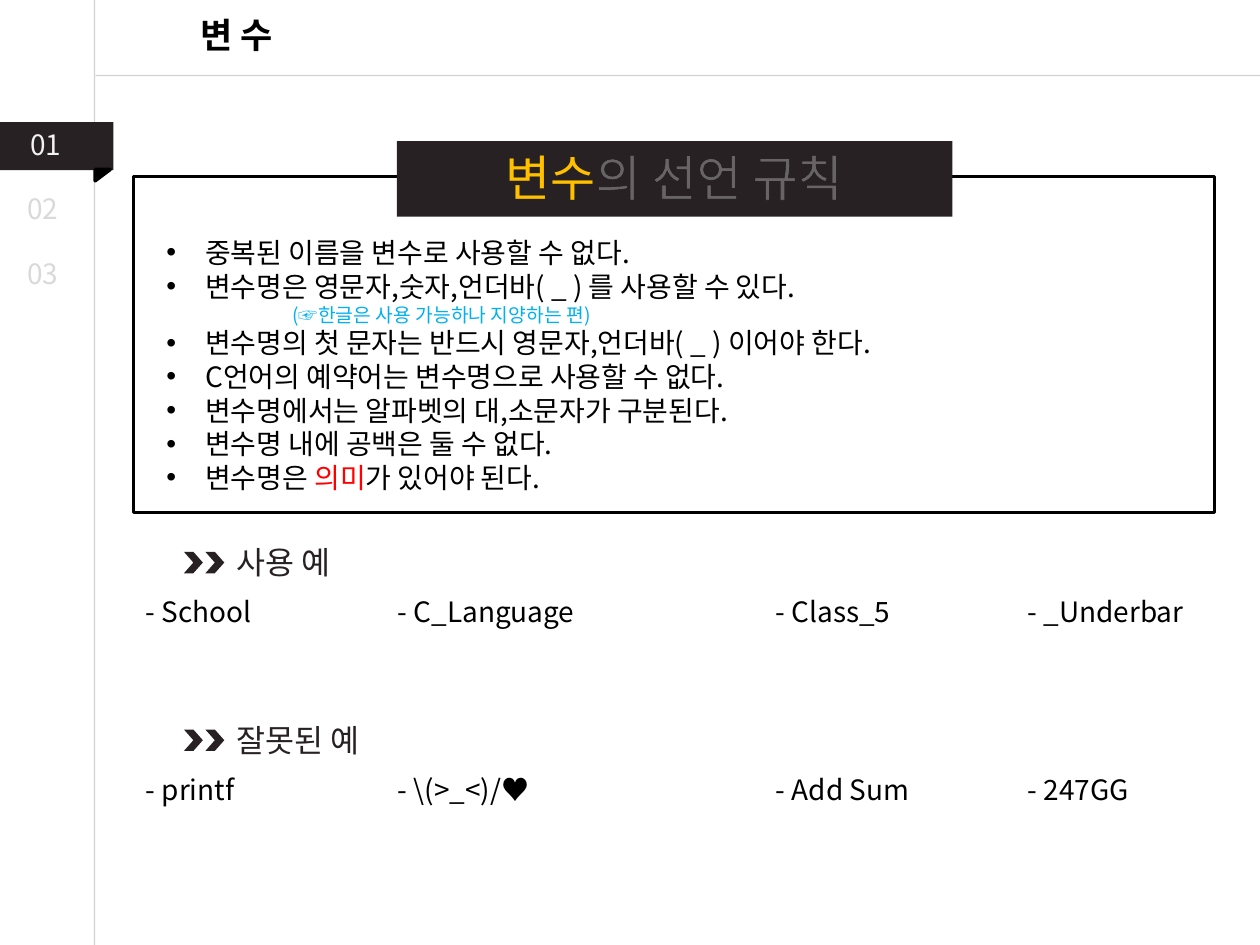
"""Build the slide on the rules for declaring variables."""
from dataclasses import dataclass
from lxml import etree
from pptx import Presentation, util as u
from pptx.dml.color import RGBColor
from pptx.enum import shapes, text
from pptx.oxml.ns import qn

FONT = "Noto Sans CJK KR"
DARK, BLACK, PALE = "272123", "000000", "D9D9D9"
MID, LEFT = text.PP_ALIGN.CENTER, text.PP_ALIGN.LEFT
KIND = shapes.MSO_SHAPE
WIDE, HIGH = 10, 7.5
COLS = (0, 2, 5, 7)


@dataclass
class Run:
    words: str
    color: str = BLACK


@dataclass
class Line:
    runs: list
    size: float = 16
    dot: bool = False
    left: float = 0


@dataclass
class Case:
    top: float
    head: str
    names: list


def paint(fill, color: str) -> None:
    fill.solid()
    fill.fore_color.rgb = RGBColor.from_string(color)


def node(root, tag: str, **vals):
    return etree.SubElement(root, qn(tag), **vals)


def fade(fill, alpha: int) -> None:
    node(fill.find(".//" + qn("a:srgbClr")), "a:alpha", val=str(alpha * 1000))


def place(item, box: tuple) -> None:
    for key, val in zip(("left", "top", "width", "height"), box):
        setattr(item, key, u.Inches(val))


def style(run, size: float, color: str, bold: bool) -> None:
    for key, val in {"name": FONT, "size": u.Pt(size), "bold": bold}.items():
        setattr(run.font, key, val)
    paint(run.font.fill, color)
    props = run.font._element
    node(props, "a:ea", typeface=FONT)
    edge = node(props, "a:ln", w="9525")
    tone = node(node(edge, "a:solidFill"), "a:srgbClr", val=BLACK)
    node(tone, "a:alpha", val="30000")
    props.insert(0, edge)


def write(item, lines: list, align=LEFT, bold=False) -> None:
    frame = item.text_frame
    form = {"word_wrap": True, "auto_size": text.MSO_AUTO_SIZE.NONE,
            "vertical_anchor": text.MSO_ANCHOR.TOP}
    for key, val in form.items():
        setattr(frame, key, val)
    for num, line in enumerate(lines):
        para = frame.add_paragraph() if num else frame.paragraphs[0]
        form = {"alignment": align, "space_before": u.Pt(0),
                "line_spacing": u.Pt(line.size * 1.2)}
        for key, val in form.items():
            setattr(para, key, val)
        props = para._p.get_or_add_pPr()
        hang = 0.31 if line.dot else 0
        props.set("marL", str(u.Inches(line.left + hang)))
        props.set("indent", str(u.Inches(-hang)))
        if line.dot:
            node(props, "a:buFont", typeface="Arial")
            node(props, "a:buChar", char="•")
        else:
            node(props, "a:buNone")
        for part in line.runs:
            run = para.add_run()
            run.text = part.words
            style(run, line.size, part.color, bold)


def label(page, box: tuple, line: Line, align=LEFT) -> None:
    item = page.shapes.add_textbox(0, 0, 0, 0)
    place(item, box)
    write(item, [line], align)


def block(page, kind, box: tuple, fill="", edge=""):
    item = page.shapes.add_shape(kind, 0, 0, 0, 0)
    place(item, box)
    item.shadow.inherit = False
    for part, color in ((item.fill, fill), (item.line.fill, edge)):
        if color:
            paint(part, color)
        else:
            part.background()
    if edge:
        item.line.width = u.Pt(2)
    return item


def rule(page, ends: tuple) -> None:
    item = page.shapes.add_connector(shapes.MSO_CONNECTOR.STRAIGHT,
                                     *map(u.Inches, ends))
    item.line.width = u.Pt(0.75)
    paint(item.line.fill, "A6A6A6")
    props = item._element.spPr
    fade(props, 50)
    node(props, "a:effectLst")


def show(page, case: Case) -> None:
    for col in range(2):
        box = (1.46 + 0.17 * col, case.top + 0.12, 0.15, 0.17)
        block(page, KIND.CHEVRON, box, DARK)
    label(page, (1.78, case.top, 1.5, 0.4), Line([Run(case.head, DARK)], 18))
    for col, name in zip(COLS, case.names):
        box = (1.06 + col, case.top + 0.41, 1.8, 0.37)
        label(page, box, Line([Run("- " + name)]))


RULES = [
    Line([Run("중복된 이름을 변수로 사용할 수 없다.")], dot=True),
    Line([Run("변수명은 영문자,숫자,언더바( _ ) 를 사용할 수 있다.")], dot=True),
    Line([Run("(☞한글은 사용 가능하나 지양하는 편)", "00B0F0")], 11, left=1),
    Line([Run("변수명의 첫 문자는 반드시 영문자,언더바( _ ) 이어야 한다.")], dot=True),
    Line([Run("C언어의 예약어는 변수명으로 사용할 수 없다.")], dot=True),
    Line([Run("변수명에서는 알파벳의 대,소문자가 구분된다.")], dot=True),
    Line([Run("변수명 내에 공백은 둘 수 없다.")], dot=True),
    Line([Run("변수명은 "), Run("의미", "FF0000"), Run("가 있어야 된다.")], dot=True),
]
CASES = [
    Case(4.26, "사용 예", ["School", "C_Language", "Class_5", "_Underbar"]),
    Case(5.67, "잘못된 예", ["printf", "\\(>_<)/♥", "Add Sum", "247GG"]),
]
STEPS = [(0.14, 0.96, "F2F2F2"), (0.12, 1.47, PALE), (0.12, 1.99, PALE)]

deck = Presentation()
deck.slide_width, deck.slide_height = u.Inches(WIDE), u.Inches(HIGH)
page = deck.slides.add_slide(deck.slide_layouts[1])
title, body = page.placeholders
place(title, (0.81, 0.06, 2.14, 0.44))
write(title, [Line([Run("변 수")], 20)], MID, True)
place(body, (1.22, 1.82, 6.87, 2.17))
write(body, RULES)

for ends in ((0.75, 0, 0.75, HIGH), (0.76, 0.6, WIDE, 0.6)):
    rule(page, ends)
block(page, KIND.RECTANGLE, (0, 0.97, 0.9, 0.38), DARK)
fold = block(page, KIND.RIGHT_TRIANGLE, (0.77, 1.33, 0.09, 0.12), BLACK, BLACK)
fold.rotation = 90
for num, (left, top, color) in enumerate(STEPS, 1):
    label(page, (left, top, 0.54, 0.37), Line([Run(f"{num:02}", color)]))

block(page, KIND.RECTANGLE, (1.06, 1.4, 8.58, 2.67), edge=BLACK)
block(page, KIND.RECTANGLE, (3.15, 1.12, 4.41, 0.6), DARK)
head = Line([Run("변수", "FFC000"), Run("의 선언 규칙", "FFFFFF")], 28)
label(page, (2.75, 1.12, 5.2, 0.6), head, MID)
for case in CASES:
    show(page, case)
deck.save("out.pptx")
